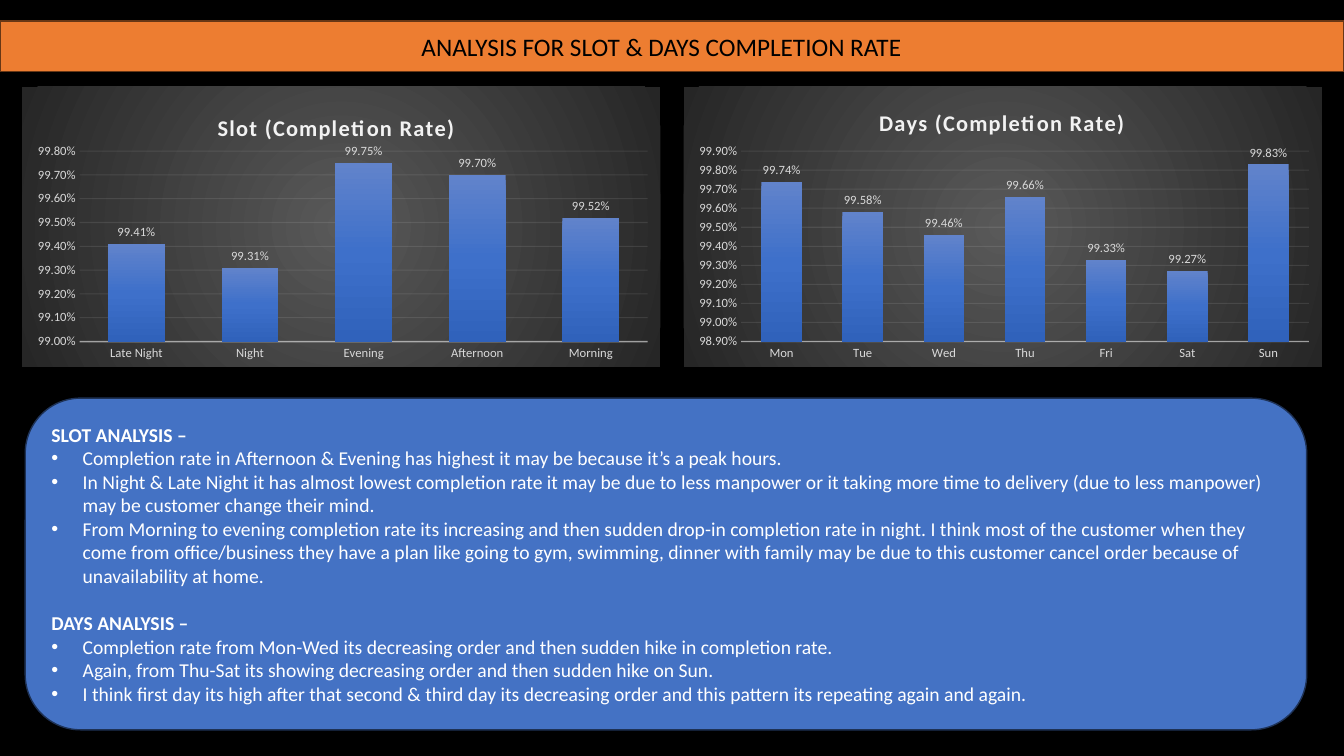
from pptx import Presentation
from pptx.chart.data import CategoryChartData
from pptx.dml.color import RGBColor
from pptx.enum.chart import XL_CHART_TYPE, XL_LABEL_POSITION, XL_TICK_MARK
from pptx.enum.text import MSO_ANCHOR, MSO_AUTO_SIZE, PP_ALIGN
from pptx.oxml import parse_xml
from pptx.oxml.ns import nsdecls
from pptx.util import Pt

PX = 9144
FONT = "Calibri"
BLACK = RGBColor(0x00, 0x00, 0x00)
WHITE = RGBColor(0xFF, 0xFF, 0xFF)
ORANGE = RGBColor(0xED, 0x7D, 0x31)
BROWN = RGBColor(0x68, 0x37, 0x15)
BLUE = RGBColor(0x44, 0x72, 0xC4)
NAVY = RGBColor(0x1E, 0x32, 0x56)
PALE = RGBColor(0xF2, 0xF2, 0xF2)
GREY = RGBColor(0xD9, 0xD9, 0xD9)


def write(para, text, size=14, color=WHITE, bold=False, track=0):
    run = para.add_run()
    run.text = text
    run.font.name = FONT
    run.font.size = Pt(size)
    run.font.bold = bold
    run.font.color.rgb = color
    if track:
        run.font._element.set("spc", str(track))


def blend(stops, kind):
    marks = "".join(
        f'<a:gs pos="{pos * 1000}"><a:srgbClr val="{tint}"/></a:gs>' for pos, tint in stops
    )
    return f'<a:gradFill {nsdecls("a")} rotWithShape="1"><a:gsLst>{marks}</a:gsLst>{kind}</a:gradFill>'


ROUND = '<a:path path="circle"><a:fillToRect l="50000" t="50000" r="50000" b="50000"/></a:path>'
PANEL = blend([(0, "595959"), (100, "262626")], ROUND)
BARS = blend([(0, "6183CB"), (50, "3E70CA"), (100, "3062BB")], '<a:lin ang="5400000" scaled="0"/>')

deck = Presentation()
deck.slide_width = 1333 * PX
deck.slide_height = 750 * PX
slide = deck.slides.add_slide(deck.slide_layouts[1])
slide.background.fill.solid()
slide.background.fill.fore_color.rgb = BLACK

title = slide.shapes.title
body = slide.placeholders[1]
for box, place, geom, fill, edge in (
    (title, (0, 21, 1333, 50), "rect", ORANGE, BROWN),
    (body, (25, 395, 1271, 329), "roundRect", BLUE, NAVY),
):
    box.left, box.top, box.width, box.height = [n * PX for n in place]
    box._element.spPr.append(
        parse_xml(f'<a:prstGeom {nsdecls("a")} prst="{geom}"><a:avLst/></a:prstGeom>')
    )
    box.fill.solid()
    box.fill.fore_color.rgb = fill
    box.line.color.rgb = edge
    box.line.width = Pt(1)
    box.text_frame.word_wrap = True
    box.text_frame.auto_size = MSO_AUTO_SIZE.NONE
    box.text_frame.vertical_anchor = MSO_ANCHOR.MIDDLE

title.text_frame.margin_left = 418 * PX
head = title.text_frame.paragraphs[0]
head.alignment = PP_ALIGN.LEFT
write(head, "ANALYSIS FOR SLOT & DAYS COMPLETION RATE", size=18, color=BLACK)

NOTES = [
    ("SLOT ANALYSIS –", [
        "Completion rate in Afternoon & Evening has highest it may be because it’s a peak hours.",
        "In Night & Late Night it has almost lowest completion rate it may be due to less manpower "
        "or it taking more time to delivery (due to less manpower) may be customer change their mind.",
        "From Morning to evening completion rate its increasing and then sudden drop-in completion "
        "rate in night. I think most of the customer when they come from office/business they have "
        "a plan like going to gym, swimming, dinner with family may be due to this customer cancel "
        "order because of unavailability at home.",
    ]),
    ("DAYS ANALYSIS –", [
        "Completion rate from Mon-Wed its decreasing order and then sudden hike in completion rate.",
        "Again, from Thu-Sat its showing decreasing order and then sudden hike on Sun.",
        "I think first day its high after that second & third day its decreasing order and this "
        "pattern its repeating again and again.",
    ]),
]
para = body.text_frame.paragraphs[0]
for part, (topic, points) in enumerate(NOTES):
    for row, text in enumerate([topic] + points):
        if part or row:
            para = body.text_frame.add_paragraph()
        para.alignment = PP_ALIGN.LEFT
        para.space_before = Pt(17 if part and not row else 0)
        write(para, text, bold=not row)
        props = para._element.get_or_add_pPr()
        dent = 31 * PX if row else 0
        props.set("marL", str(dent))
        props.set("indent", str(-dent))
        mark = 'buChar char="•"' if row else "buNone"
        tag = mark.split()[0]
        props.append(parse_xml(f'<a:{mark} {nsdecls("a")}></a:{tag}>'))

CHARTS = [
    ("Days (Completion Rate)", 678, 0.06, 0.989, 0.999,
     ["Mon", "Tue", "Wed", "Thu", "Fri", "Sat", "Sun"],
     [0.9974, 0.9958, 0.9946, 0.9966, 0.9933, 0.9927, 0.9983]),
    ("Slot (Completion Rate)", 22, 0.08, 0.99, 0.998,
     ["Late Night", "Night", "Evening", "Afternoon", "Morning"],
     [0.9941, 0.9931, 0.9975, 0.997, 0.9952]),
]
for name, left, drop, low, high, cats, rates in CHARTS:
    data = CategoryChartData(number_format="0.00%")
    data.categories = cats
    data.add_series("Completion Rate", rates)
    chart = slide.shapes.add_chart(
        XL_CHART_TYPE.COLUMN_CLUSTERED, left * PX, 86 * PX, 633 * PX, 278 * PX, data
    ).chart
    chart.has_legend = False
    chart.font.name = FONT
    chart.font.size = Pt(9)
    chart.font.color.rgb = GREY
    root = chart._chartSpace
    root.chart.addnext(parse_xml(
        f'<c:spPr {nsdecls("c", "a")}>{PANEL}<a:ln><a:noFill/></a:ln></c:spPr>'
    ))

    chart.has_title = True
    label = chart.chart_title
    write(label.text_frame.paragraphs[0], name, size=16, color=PALE, bold=True, track=100)
    label.include_in_layout = False

    plot = chart.plots[0]
    plot.gap_width = 100
    plot.overlap = -24
    plot.vary_by_categories = False
    plot.series[0]._element.get_or_add_spPr().append(parse_xml(BARS))
    plot.has_data_labels = True
    tags = plot.data_labels
    tags.show_value = True
    tags.position = XL_LABEL_POSITION.OUTSIDE_END
    tags.number_format = "0.00%"
    tags.number_format_is_linked = False
    tags.font.name = FONT
    tags.font.size = Pt(9)
    tags.font.color.rgb = GREY

    base, scale = chart.category_axis, chart.value_axis
    for axis in (base, scale):
        axis.major_tick_mark = XL_TICK_MARK.NONE
        axis.minor_tick_mark = XL_TICK_MARK.NONE
    scale.minimum_scale = low
    scale.maximum_scale = high
    scale.major_unit = 0.001
    scale.tick_labels.number_format = "0.00%"
    scale.tick_labels.number_format_is_linked = False
    scale.format.line.fill.background()
    scale.has_major_gridlines = True
    for line, width, alpha in (
        (base.format.line, 1, 54), (scale.major_gridlines.format.line, 0.75, 10)
    ):
        line.color.rgb = PALE
        line.width = Pt(width)
        for tint in line._get_or_add_ln().xpath(".//a:srgbClr"):
            tint.append(parse_xml(f'<a:alpha {nsdecls("a")} val="{alpha * 1000}"/>'))

    area = root.chart.plotArea
    for host, spots in (
        (label._element, {"x": 0.3, "y": drop}),
        (area, {"x": 0.09, "y": 0.23, "w": 0.89, "h": 0.68}),
    ):
        for old in host.xpath("./c:layout"):
            host.remove(old)
        inner = '<c:layoutTarget val="inner"/>' if host is area else ""
        modes = "".join(f'<c:{k}Mode val="edge"/>' for k in "xy")
        sizes = "".join(f'<c:{k} val="{v}"/>' for k, v in spots.items())
        layout = parse_xml(
            f'<c:layout {nsdecls("c")}><c:manualLayout>{inner}{modes}{sizes}'
            "</c:manualLayout></c:layout>"
        )
        if host is area:
            host.insert(0, layout)
        else:
            host.xpath("./c:tx")[0].addnext(layout)

deck.save("out.pptx")
